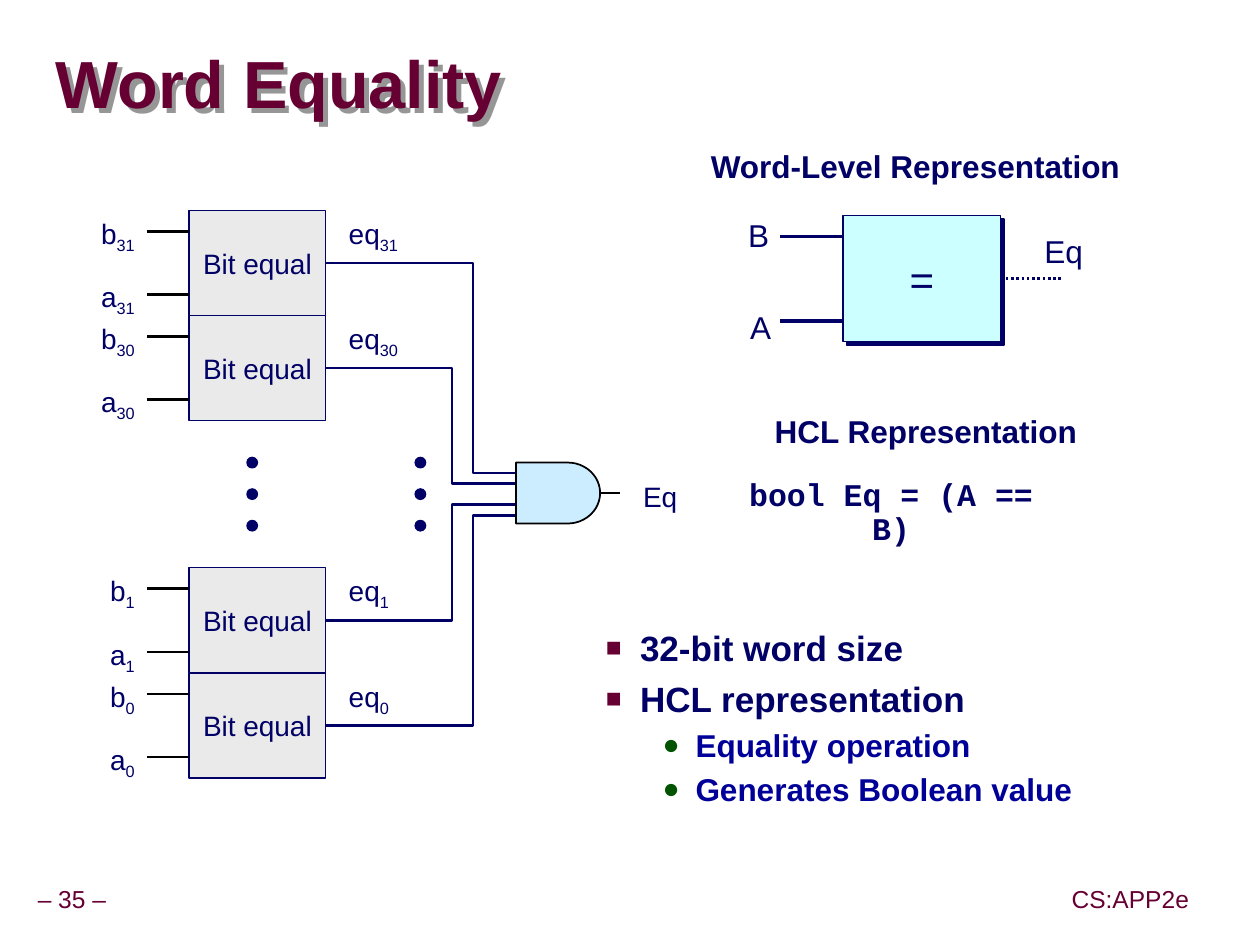
from dataclasses import dataclass
from math import cos, pi, sin
from lxml.etree import SubElement
from pptx import Presentation
from pptx.dml.color import RGBColor
from pptx.enum.dml import MSO_LINE
from pptx.enum.shapes import MSO_CONNECTOR, MSO_SHAPE
from pptx.enum.text import MSO_ANCHOR, PP_ALIGN
from pptx.oxml.ns import qn
from pptx.util import Inches, Pt

LEFT, MID, RIGHT = PP_ALIGN.LEFT, PP_ALIGN.CENTER, PP_ALIGN.RIGHT


@dataclass(frozen=True)
class Theme:
    navy: str = "000066"
    blue: str = "000099"
    wine: str = "660033"
    green: str = "005400"
    black: str = "000000"
    gray: str = "EAEAEA"
    shade: str = "969696"
    sky: str = "CCECFF"
    cyan: str = "CCFFFF"
    sans: str = "Arial"
    mono: str = "Courier New"
    title: int = 38
    sign: int = 24
    list: int = 20
    head: int = 18
    label: int = 16
    foot: int = 14


T = Theme()


def u(n):
    """Grid step: one twelfth of an inch."""
    return Inches(n / 12)


def rgb(code):
    return RGBColor.from_string(code)


def style(par, size, color=T.navy, bold=False, face=T.sans):
    font = par.font
    font.name, font.size, font.bold = face, Pt(size), bold
    font.color.rgb = rgb(color)


def shadow(shape, color, dist):
    shape.shadow.inherit = False
    effect = shape._element.spPr.find(qn("a:effectLst"))
    cast = SubElement(effect, qn("a:outerShdw"), dist=str(Pt(dist)), dir="2700000",
                      algn="ctr", rotWithShape="0")
    SubElement(cast, qn("a:srgbClr"), val=color)


def text(slide, at, words, size, align=LEFT, color=T.navy, bold=False, face=T.sans,
         sub="", wrap=False, pad=(0.1, 0.05, 0.1, 0.05), space=1, anchor=MSO_ANCHOR.TOP):
    box = slide.shapes.add_textbox(*map(u, at))
    frame = box.text_frame
    frame.word_wrap, frame.vertical_anchor = wrap, anchor
    (frame.margin_left, frame.margin_top,
     frame.margin_right, frame.margin_bottom) = map(Inches, pad)
    par = frame.paragraphs[0]
    par.alignment, par.line_spacing = align, space
    par.add_run().text = words
    if sub:
        low = par.add_run()
        low.text = sub
        low._r.get_or_add_rPr().set("baseline", "-25000")
    style(par, size, color, bold, face)
    return box


def paint(shape, fill, line=T.navy, width=0.75):
    shape.shadow.inherit = False
    if fill:
        shape.fill.solid()
        shape.fill.fore_color.rgb = rgb(fill)
    else:
        shape.fill.background()
    shape.line.color.rgb = rgb(line)
    shape.line.width = Pt(width)
    return shape


def block(slide, at, words, size, fill):
    box = paint(slide.shapes.add_shape(MSO_SHAPE.RECTANGLE, *map(u, at)), fill)
    frame = box.text_frame
    frame.word_wrap, frame.vertical_anchor = False, MSO_ANCHOR.MIDDLE
    par = frame.paragraphs[0]
    par.text, par.alignment = words, MID
    style(par, size)
    return box


def wire(slide, x1, x2, y, color=T.navy, width=1.5, dash=None):
    link = slide.shapes.add_connector(MSO_CONNECTOR.STRAIGHT, u(x1), u(y), u(x2), u(y))
    link.line.color.rgb, link.line.width = rgb(color), Pt(width)
    if dash:
        link.line.dash_style = dash
    SubElement(link._element.spPr, qn("a:effectLst"))


def outline(slide, points, close=False, fill=None, line=T.navy, width=1.5):
    first, *rest = [(u(x), u(y)) for x, y in points]
    form = slide.shapes.build_freeform(*first)
    form.add_line_segments(rest, close=close)
    paint(form.convert_to_shape(), fill, line, width)


def dots(slide, x):
    for row in range(3):
        spot = (x, 43.5 + 3 * row, 1, 1)
        paint(slide.shapes.add_shape(MSO_SHAPE.OVAL, *map(u, spot)), T.navy)


def cell(slide, top, bit, turn, end):
    """One bit comparer with its inputs and its wire to the gate."""
    outline(slide, [(31, top + 5), (turn, top + 5), (turn, end), (49, end)])
    block(slide, (18, top, 13, 10), "Bit equal", T.label, T.gray)
    for name, drop in (("b", 0), ("a", 6)):
        text(slide, (8, top + drop, 6, 4.4), name, T.label, RIGHT, sub=bit)
        wire(slide, 14, 18, top + drop + 2, T.black)
    text(slide, (32, top, 8, 4.4), "eq", T.label, sub=bit, wrap=True)


def gate(slide):
    arc = [pi / 2 - pi * step / 24 for step in range(25)]
    curve = [(54 + 3.1 * cos(a), 46.9 - 2.9 * sin(a)) for a in arc]
    wire(slide, 57, 59, 46.9, T.black)
    outline(slide, [(49.1, 44), *curve, (49.1, 49.8)], True, T.sky, T.black, 1)
    text(slide, (60, 45, 8, 4.4), "Eq", T.label, wrap=True)


def word(slide):
    box = block(slide, (80.2, 20.5, 15, 12), "=", T.sign, T.cyan)
    shadow(box, T.navy, 2.8)
    for y in (22.5, 30.5):
        wire(slide, 74.2, 80.2, y, width=2.25)
    wire(slide, 95.2, 101.2, 26.5, dash=MSO_LINE.ROUND_DOT)
    for name, x, y, width in (("B", 70, 20, 4.4), ("A", 70.2, 28.7, 4.4),
                              ("Eq", 98.2, 21.5, 7)):
        text(slide, (x, y, width, 4.8), name, T.head)


def bullets(slide, at, items):
    frame = slide.shapes.add_textbox(*map(u, at)).text_frame
    frame.word_wrap = True
    for i, (words, level) in enumerate(items):
        par = frame.add_paragraph() if i else frame.paragraphs[0]
        par.text, par.level = words, level
        mark, tint, share, edge, hang, size, color, gap, space = (
            ("●", T.green, 90, 1.25, 0.26, T.head, T.blue, 2, 1.07) if level
            else ("■", T.wine, 75, 0.81, 0.27, T.list, T.navy, 5, 1))
        par.line_spacing = space
        par.space_before = Pt(gap if i else 0)
        props = par._p.get_or_add_pPr()
        props.set("marL", str(Inches(edge)))
        props.set("indent", str(-Inches(hang)))
        SubElement(SubElement(props, qn("a:buClr")), qn("a:srgbClr"), val=tint)
        SubElement(props, qn("a:buSzPct"), val=str(share * 1000))
        SubElement(props, qn("a:buFont"), typeface=T.sans)
        SubElement(props, qn("a:buChar"), char=mark)
        style(par, size, color, True)


def main():
    deck = Presentation()
    deck.slide_width, deck.slide_height = Inches(9.99), Inches(7.49)
    slide = deck.slides.add_slide(deck.slide_layouts[6])
    thin = (0.05,) * 4

    # Title and footer
    title = text(slide, (5.3, 3.2, 114.2, 10.2), "Word Equality", T.title, color=T.wine,
                 bold=True, wrap=True, pad=(0,) * 4, space=0.87, anchor=MSO_ANCHOR.MIDDLE)
    shadow(title, T.shade, 4)
    for words, x, width in (("– 35 –", 2.9, 7.9), ("CS:APP2e", 101.3, 12.5)):
        text(slide, (x, 83.8, width, 3.7), words, T.foot, MID, T.wine,
             pad=thin, space=0.9, anchor=MSO_ANCHOR.MIDDLE)

    # Bit-level circuit
    for row in ((20, "31", 45, 45), (30, "30", 43, 46),
                (54, "1", 43, 48), (64, "0", 45, 49)):
        cell(slide, *row)
    for x in (23.5, 39.5):
        dots(slide, x)
    gate(slide)

    # Word-level symbol and its code
    word(slide)
    for words, x, y, width in (("Word-Level Representation", 67, 13.8, 40.2),
                               ("HCL Representation", 73.1, 39, 30)):
        text(slide, (x, y, width, 4.4), words, T.head, MID, bold=True, pad=thin, space=0.9)
    text(slide, (70.6, 45, 33.5, 4.4), "bool Eq = (A == B)", T.head, MID, bold=True,
         face=T.mono, wrap=True, pad=(0, 0.05, 0.43, 0.05), space=0.9)

    # Key points
    bullets(slide, (50, 59, 62.6, 25.4),
            [("32-bit word size", 0), ("HCL representation", 0),
             ("Equality operation", 1), ("Generates Boolean value", 1)])
    deck.save("out.pptx")


if __name__ == "__main__":
    main()
